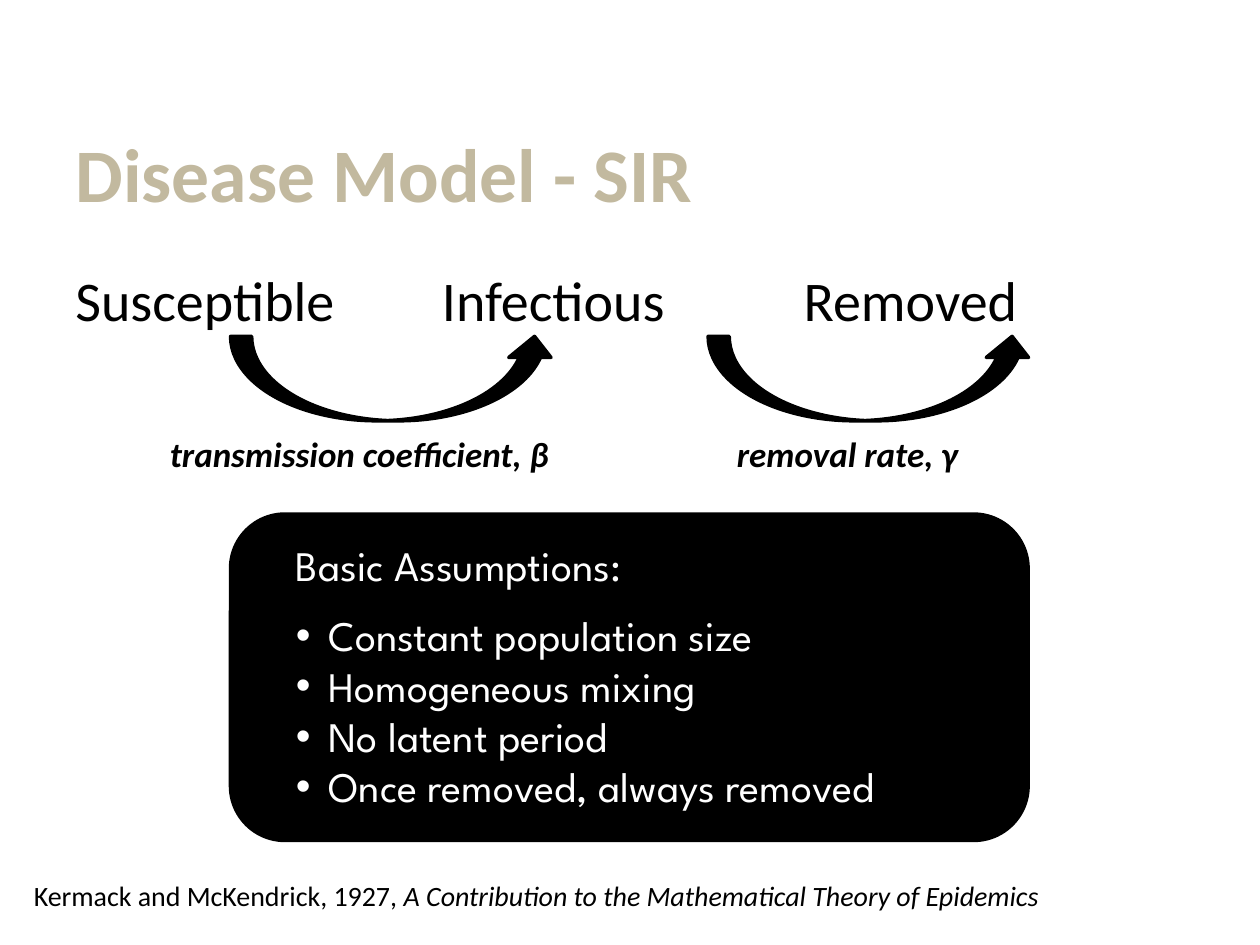
from dataclasses import dataclass

from lxml.etree import SubElement
from pptx import Presentation
from pptx.dml.color import RGBColor
from pptx.enum.shapes import MSO_SHAPE as Shape
from pptx.enum.text import MSO_ANCHOR as Anchor, PP_ALIGN as Align
from pptx.oxml.ns import qn
from pptx.util import Inches, Pt


@dataclass(frozen=True)
class Theme:
    ink: RGBColor = RGBColor(0, 0, 0)
    paper: RGBColor = RGBColor(255, 255, 255)
    accent: RGBColor = RGBColor(0xC2, 0xB9, 0x9F)
    body_font: str = "Calibri"
    panel_font: str = "League Spartan"
    title: float = 43.2
    stage: float = 32
    panel: float = 24
    rate: float = 20
    citation: float = 16


THEME = Theme()


def style(para, size, color=THEME.ink, name=THEME.body_font, bold=False, italic=False):
    font = para.font
    font.size, font.name, font.bold, font.italic = Pt(size), name, bold, italic
    font.color.rgb = color


def add_text(page, left, top, width, height):
    box = page.shapes.add_textbox(Inches(left), Inches(top), Inches(width), Inches(height))
    box.text_frame.word_wrap = True
    return box.text_frame


def add_solid(page, kind, left, top, width, height):
    shape = page.shapes.add_shape(
        kind, Inches(left), Inches(top), Inches(width), Inches(height))
    shape.shadow.inherit = False
    shape.fill.solid()
    shape.fill.fore_color.rgb = THEME.ink
    shape.line.color.rgb = THEME.ink
    shape.line.width = Pt(2)


def add_title(page, left, top, width, height):
    title = page.shapes.title
    title.left, title.top = Inches(left), Inches(top)
    title.width, title.height = Inches(width), Inches(height)
    title.text_frame.text = "Disease Model - SIR"
    title.text_frame.vertical_anchor = Anchor.MIDDLE
    para = title.text_frame.paragraphs[0]
    para.alignment = Align.LEFT
    style(para, THEME.title, THEME.accent, bold=True)


def add_stages(page, left, top, width, height):
    """One line of stages, held apart by tab stops."""
    para = add_text(page, left, top, width, height).paragraphs[0]
    para.text = "Susceptible\tInfectious\tRemoved"
    style(para, THEME.stage)
    stops = SubElement(para._p.get_or_add_pPr(), qn("a:tabLst"))
    for position in (2.91, 5.78):
        SubElement(stops, qn("a:tab"), pos=str(Inches(position)), algn="l")
    # The schema puts tab stops ahead of the default run properties
    stops.getparent().insert(0, stops)


def add_transition(page, arrow_left, label, label_left, label_width):
    """A curved arrow between two stages, with its rate underneath."""
    add_solid(page, Shape.CURVED_UP_ARROW, arrow_left, 2.67, 2.58, 0.67)
    para = add_text(page, label_left, 3.38, label_width, 0.44).paragraphs[0]
    para.text = label
    style(para, THEME.rate, bold=True, italic=True)


def add_assumptions(page, left, top, width, height):
    add_solid(page, Shape.ROUNDED_RECTANGLE, left, top, width, height)
    frame = add_text(page, left + 0.42, top + 0.15, width - 0.58, height - 0.2)
    heading = frame.paragraphs[0]
    heading.text = "Basic Assumptions:"
    style(heading, THEME.panel, THEME.paper, THEME.panel_font)
    items = ("Constant population size", "Homogeneous mixing",
             "No latent period", "Once removed, always removed")
    for index, item in enumerate(items):
        para = frame.add_paragraph()
        para.text = item
        style(para, THEME.panel, THEME.paper, THEME.panel_font)
        if index == 0:
            para.space_before = Pt(11.5)
        # Hanging bullet, placed ahead of the default run properties
        props = para._p.get_or_add_pPr()
        props.set("marL", str(Inches(0.26)))
        props.set("indent", str(-Inches(0.26)))
        bullet_font = SubElement(props, qn("a:buFont"), typeface="Arial")
        bullet = SubElement(props, qn("a:buChar"), char="•")
        default_run = props.find(qn("a:defRPr"))
        default_run.addprevious(bullet_font)
        default_run.addprevious(bullet)


def add_citation(page, left, top, width, height):
    para = add_text(page, left, top, width, height).paragraphs[0]
    para.add_run().text = "Kermack and McKendrick, 1927, "
    work = para.add_run()
    work.text = "A Contribution to the Mathematical Theory of Epidemics"
    work.font.italic = True
    style(para, THEME.citation, italic=None)


def main():
    deck = Presentation()
    deck.slide_width, deck.slide_height = Inches(10), Inches(7.5)
    page = deck.slides.add_slide(deck.slide_layouts[5])

    add_title(page, 0.5, 0.92, 9, 0.9)
    add_stages(page, 0.5, 2.06, 9.5, 0.64)
    add_transition(page, 1.83, "transmission coefficient, β", 1.25, 3.83)
    add_transition(page, 5.62, "removal rate, γ", 5.75, 2.33)
    add_assumptions(page, 1.83, 4.08, 6.33, 2.59)
    add_citation(page, 0.17, 6.92, 9.67, 0.37)

    deck.save("out.pptx")


if __name__ == "__main__":
    main()
